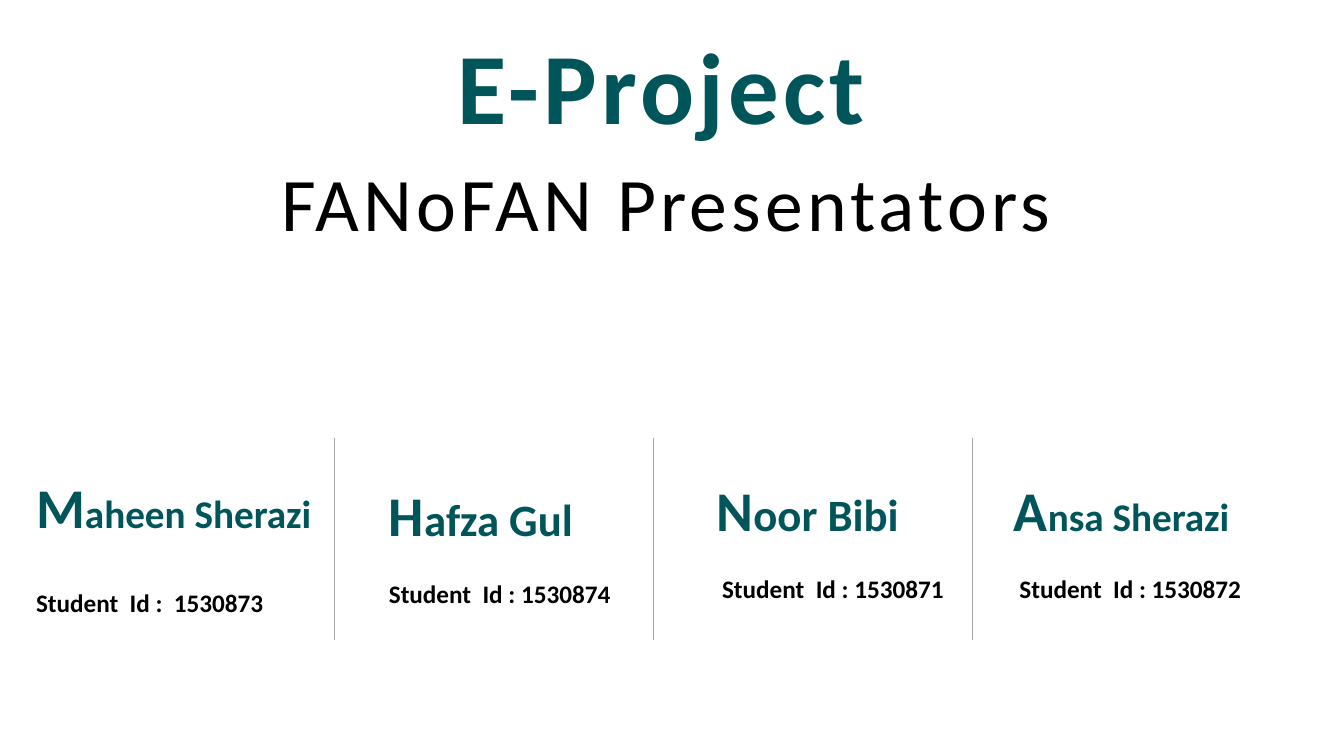
import pptx
import pptx.dml.color
import pptx.enum.shapes
import pptx.enum.text
import pptx.util
from lxml import etree

Pt = pptx.util.Pt
TEAL = pptx.dml.color.RGBColor(0x00, 0x55, 0x5A)
BLACK = pptx.dml.color.RGBColor(0x00, 0x00, 0x00)
GREY = pptx.dml.color.RGBColor(0xA5, 0xA5, 0xA5)

deck = pptx.Presentation()
deck.slide_width, deck.slide_height = Pt(960), Pt(540)
slide = deck.slides.add_slide(deck.slide_layouts[6])


def add_frame(left, top, width, height):
    """Add a wrapping text box that grows with its text; return its frame."""
    box = slide.shapes.add_textbox(Pt(left), Pt(top), Pt(width), Pt(height))
    box.text_frame.word_wrap = True
    box.text_frame.auto_size = pptx.enum.text.MSO_AUTO_SIZE.SHAPE_TO_FIT_TEXT
    return box.text_frame


def add_run(paragraph, text, size, color, bold=True):
    run = paragraph.add_run()
    run.text = text
    run.font.name = "Calibri"
    run.font.size = Pt(size)
    run.font.bold = bold
    run.font.color.rgb = color
    return run


# Headings, with letters spaced 3 pt apart
headings = [
    ("FANoFAN Presentators", 193.7, 108, 572.4, 72.7, 54, BLACK, False),
    ("E-Project", 319.7, 13.7, 337.7, 94.3, 72, TEAL, True),
]
for text, left, top, width, height, size, color, bold in headings:
    frame = add_frame(left, top, width, height)
    heading = add_run(frame.paragraphs[0], text, size, color, bold)
    heading.font._element.set("spc", "300")

# Presenters: box, name, name size, student id, gap above the id, id indent
presenters = [
    ((18.7, 334.1, 225.4, 111.6), "Maheen Sherazi", 28, "Student  Id :  1530873", 34, 0),
    ((270.7, 339.8, 182.9, 99.4), "Hafza Gul", 32, "Student  Id : 1530874", 22, 0),
    ((504.7, 336.2, 190.8, 121), "Noor Bibi", 32, "Student  Id : 1530871", 22, 4),
    ((717.1, 336.2, 251.3, 99.4), "Ansa Sherazi", 28, "Student  Id : 1530872", 22, 4),
]
for place, name, name_size, student_id, gap, indent in presenters:
    frame = add_frame(*place)
    name_line = frame.paragraphs[0]
    add_run(name_line, name[0], 40, TEAL)
    add_run(name_line, name[1:], name_size, TEAL)
    id_line = frame.add_paragraph()
    id_line.space_before = Pt(gap)
    id_line._p.get_or_add_pPr().set("marL", str(Pt(indent)))
    add_run(id_line, student_id, 18, BLACK)

# Dividers between the presenters
for column in range(3):
    x = Pt(239 + 227.9 * column)
    divider = slide.shapes.add_connector(
        pptx.enum.shapes.MSO_CONNECTOR.STRAIGHT, x, Pt(313.2), x, Pt(457.2))
    divider.line.color.rgb = GREY
    divider.line.width = Pt(0.5)
    etree.SubElement(divider._element.spPr, pptx.oxml.ns.qn("a:effectLst"))

deck.save("out.pptx")
